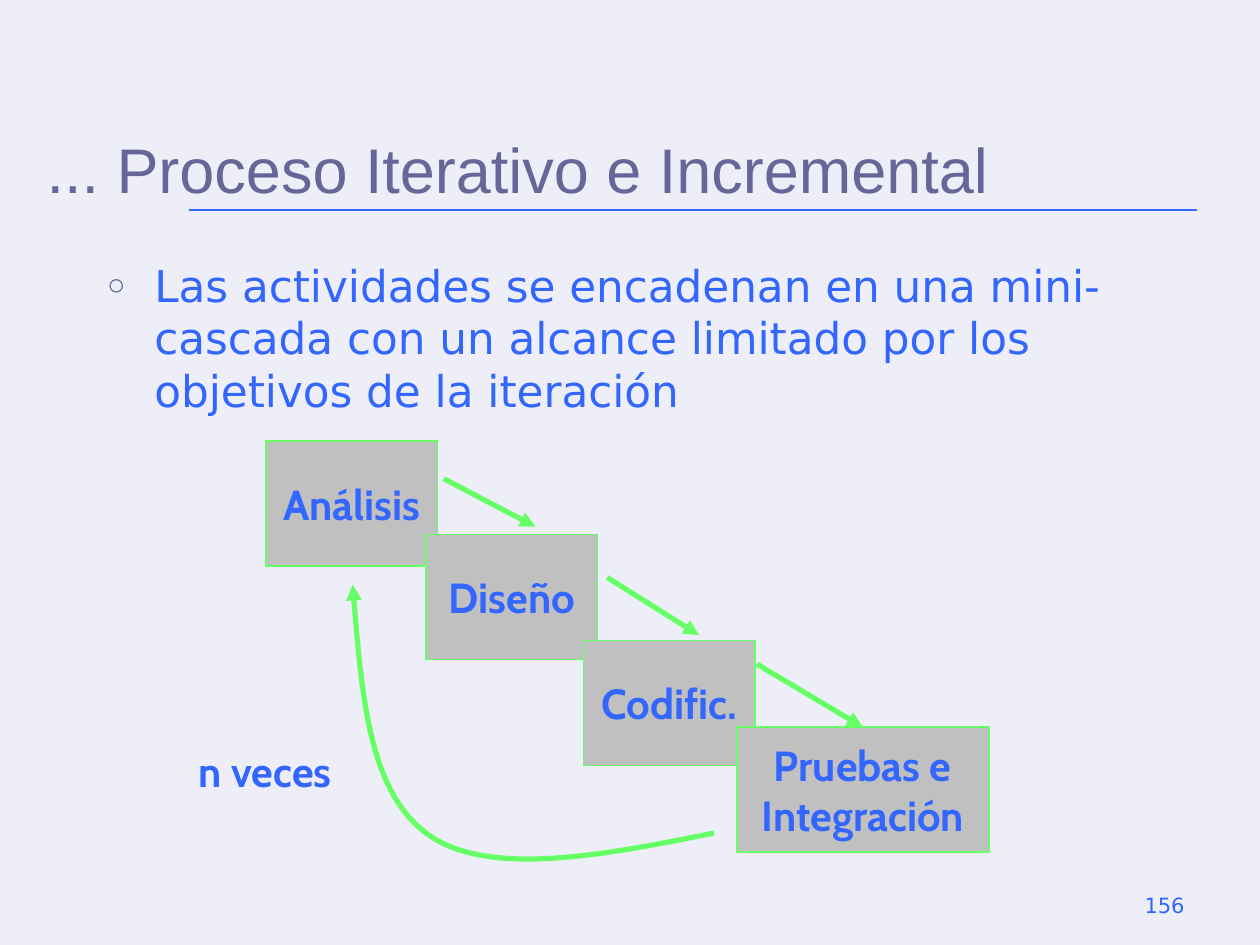
from lxml.etree import SubElement
from pptx import Presentation
from pptx.dml.color import RGBColor
from pptx.enum.shapes import MSO_CONNECTOR as Connector, MSO_SHAPE as Shape
from pptx.enum.text import MSO_ANCHOR as Anchor, MSO_AUTO_SIZE as AutoSize, PP_ALIGN as Align
from pptx.oxml.ns import qn
from pptx.util import Pt

COLORS = {
    "background": "EEEEF8",
    "blue": "3366FF",
    "violet": "666699",
    "gray": "C0C0C0",
    "green": "66FF66",
}
STAGES = [
    ("Análisis", 152, 252, 98),
    ("Diseño", 243.5, 305.5, 98),
    ("Codific.", 333.5, 366, 98),
    ("Pruebas e\nIntegración", 421, 415.5, 144),
]
STAGE_HEIGHT = 71.5
ARROWS = [
    ((253.5, 273.5), (306, 301)),
    ((347, 330), (399.5, 363)),
    ((432.5, 379.5), (493, 415.5)),
]
LOOP_START = (408, 476)
LOOP_POINTS = [
    (344, 489), (280, 501), (245.5, 477.5),
    (211, 453.5), (206.5, 394), (201.5, 334),
]


def color(name):
    return RGBColor.from_string(COLORS[name])


def write(box, text, font="Cabin", size=24, ink="blue", bold=False,
          align=Align.LEFT, anchor=Anchor.TOP, wrap=True):
    frame = box.text_frame
    frame.auto_size = AutoSize.NONE
    frame.word_wrap = wrap
    frame.vertical_anchor = anchor
    for index, line in enumerate(text.split("\n")):
        para = frame.add_paragraph() if index else frame.paragraphs[0]
        para.alignment = align
        para.space_before = Pt(0)
        span = para.add_run()
        span.text = line
        span.font.name = font
        span.font.size = Pt(size)
        span.font.bold = bold
        span.font.color.rgb = color(ink)


def place(box, left, top, width, height):
    box.left, box.top, box.width, box.height = map(Pt, (left, top, width, height))


def add_label(page, text, left, top, width, height, **style):
    box = page.shapes.add_textbox(Pt(left), Pt(top), Pt(width), Pt(height))
    write(box, text, **style)


def add_bullet(para):
    properties = para._p.get_or_add_pPr()
    properties.set("marL", str(Pt(27)))
    properties.set("indent", str(Pt(-27)))
    tint = SubElement(properties, qn("a:buClr"))
    SubElement(tint, qn("a:srgbClr"), val=COLORS["violet"])
    SubElement(properties, qn("a:buSzPct"), val="70000")
    SubElement(properties, qn("a:buChar"), char="○")


def add_stage(page, text, left, top, width):
    box = page.shapes.add_shape(
        Shape.RECTANGLE, Pt(left), Pt(top), Pt(width), Pt(STAGE_HEIGHT))
    box.shadow.inherit = False
    box.fill.solid()
    box.fill.fore_color.rgb = color("gray")
    box.line.color.rgb = color("green")
    box.line.width = Pt(1)
    write(box, text, bold=True, align=Align.CENTER, anchor=Anchor.MIDDLE, wrap=False)
    return box


def style_line(line, ink, width, arrow=False):
    line.color.rgb = color(ink)
    line.width = Pt(width)
    if arrow:
        SubElement(line._get_or_add_ln(), qn("a:tailEnd"), type="triangle")


def add_line(page, start, end, ink, width, arrow=False):
    line = page.shapes.add_connector(Connector.STRAIGHT, *map(Pt, start + end))
    style_line(line.line, ink, width, arrow)
    SubElement(line._element.spPr, qn("a:effectLst"))
    return line


def add_curve(page, start, points):
    builder = page.shapes.build_freeform(*map(Pt, start))
    builder.add_line_segments([tuple(map(Pt, point)) for point in points], close=False)
    curve = builder.convert_to_shape()
    curve.shadow.inherit = False
    curve.fill.background()
    style_line(curve.line, "green", 3, arrow=True)
    outline = next(curve._element.iter(qn("a:path")))
    segments = outline.findall(qn("a:lnTo"))
    for first in range(0, len(segments), 3):
        bezier = SubElement(outline, qn("a:cubicBezTo"))
        for segment in segments[first:first + 3]:
            bezier.append(segment[0])
            outline.remove(segment)


def main():
    deck = Presentation()
    deck.slide_width, deck.slide_height = Pt(720), Pt(540)
    page = deck.slides.add_slide(deck.slide_layouts[1])
    page.background.fill.solid()
    page.background.fill.fore_color.rgb = color("background")

    add_line(page, (108, 120), (684, 120), "blue", 1)
    add_label(page, "156", 516, 492, 168, 36, font="DejaVu Sans", size=12,
              align=Align.RIGHT, anchor=Anchor.BOTTOM)

    title, body = page.placeholders
    place(title, 19.5, 31.5, 700.5, 90)
    write(title, "... Proceso Iterativo e Incremental", font="Arial", size=36,
          ink="violet", anchor=Anchor.BOTTOM)
    place(body, 54, 144, 612, 349)
    write(body, "Las actividades se encadenan en una mini-cascada con un alcance "
          "limitado por los objetivos de la iteración", font="DejaVu Sans", size=25)
    add_bullet(body.text_frame.paragraphs[0])

    stages = [add_stage(page, *stage) for stage in STAGES]
    arrows = [add_line(page, start, end, "green", 3, arrow=True) for start, end in ARROWS]
    arrows[-1].end_connect(stages[-1], 0)
    add_curve(page, LOOP_START, LOOP_POINTS)
    add_label(page, "n veces", 106.5, 422.5, 134, 36, bold=True)

    deck.save("out.pptx")


if __name__ == "__main__":
    main()
